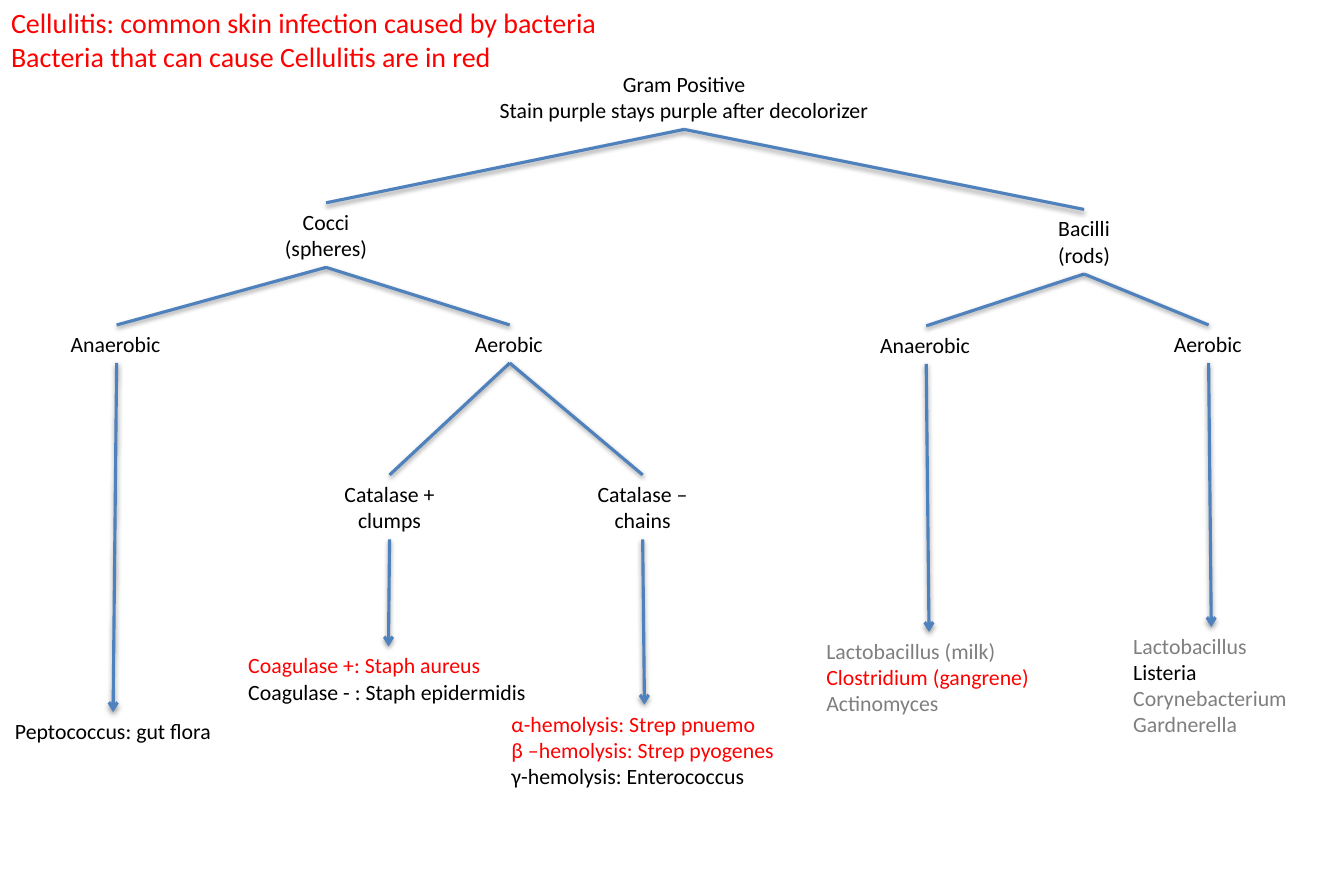
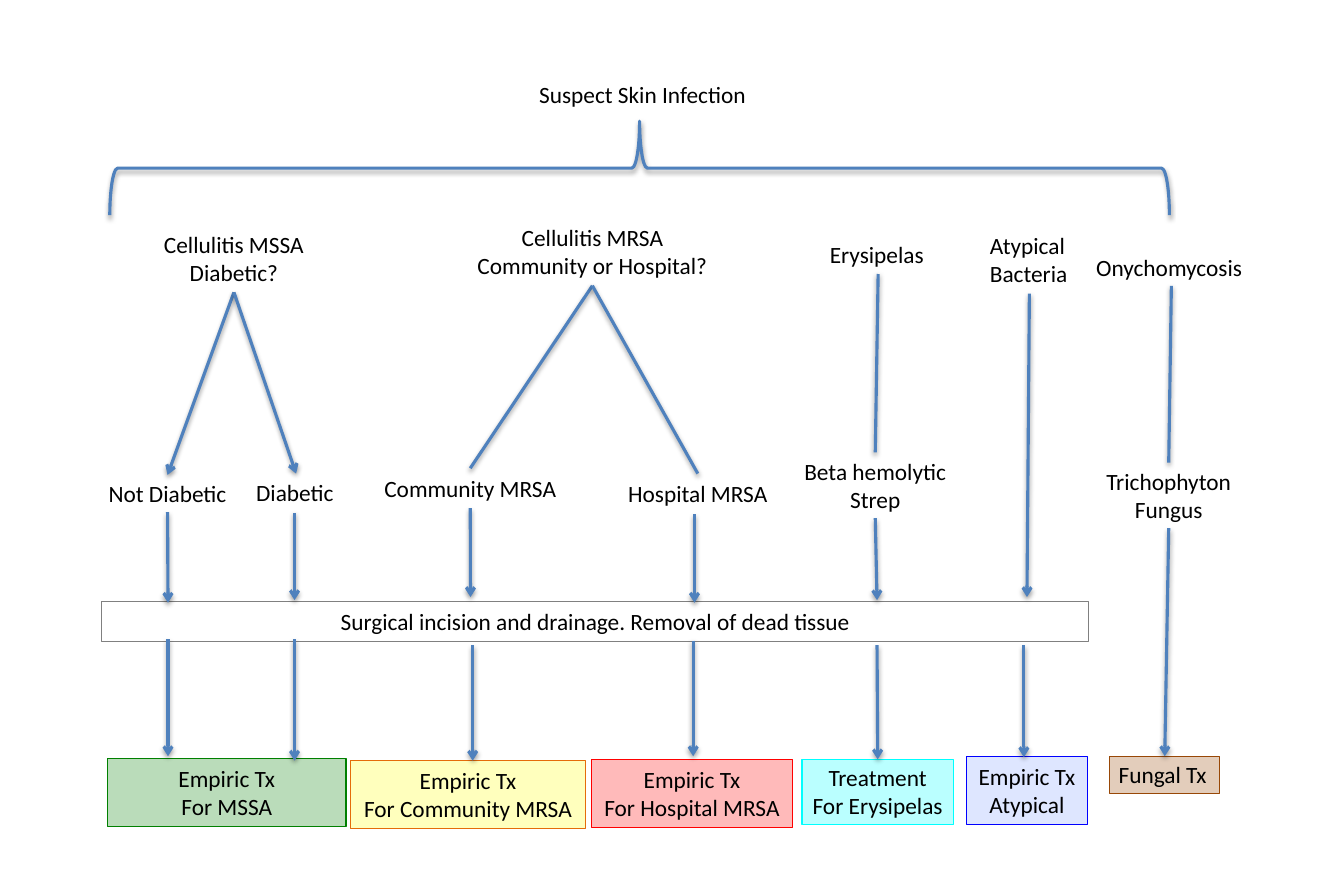
from lxml.etree import SubElement
from pptx import Presentation
from pptx.dml.color import RGBColor
from pptx.enum.shapes import MSO_CONNECTOR, MSO_SHAPE
from pptx.enum.text import MSO_ANCHOR, MSO_AUTO_SIZE, PP_ALIGN
from pptx.oxml.ns import qn
from pptx.util import Cm, Pt

COLORS = {
    "ink": "000000", "red": "FF0000", "grey": "7F7F7F", "link": "4F81BD",
    "frame": "808080", "green": "008000", "yellow": "FFFF00",
    "orange": "E46C0A", "azure": "3366FF", "blue": "0000FF",
    "cyan": "00FFFF", "brown": "984807",
}
FONT = "Calibri"
LEFT, MID = PP_ALIGN.LEFT, PP_ALIGN.CENTER
WIDE, SLIM = (0.25, 0.13), (0.2, 0.1)
TOP, BOTTOM = 0, 2
HUES = {
    "Lactobacillus (milk)": "grey", "Clostridium (gangrene)": "red",
    "Actinomyces": "grey", "Lactobacillus": "grey",
    "Corynebacterium": "grey", "Gardnerella": "grey",
    "Coagulase +: Staph aureus": "red",
    "α-hemolysis: Strep pnuemo": "red",
    "β –hemolysis: Strep pyogenes": "red",
    "Cellulitis: common skin infection caused by bacteria": "red",
    "Bacteria that can cause Cellulitis are in red": "red",
}


def write(box, place, text, size, align=MID, pad=WIDE, wrap=False):
    """Place a box, its height following from the lines, and fill it."""
    rows = text.split("|")
    x, y, width = place
    box.left, box.top, box.width = Cm(x), Cm(y), Cm(width)
    box.height = Cm(2 * pad[1] + len(rows) * size * 0.043)
    frame = box.text_frame
    frame.word_wrap = wrap
    frame.auto_size = MSO_AUTO_SIZE.SHAPE_TO_FIT_TEXT
    frame.vertical_anchor = MSO_ANCHOR.TOP
    frame.margin_left = frame.margin_right = Cm(pad[0])
    frame.margin_top = frame.margin_bottom = Cm(pad[1])
    for i, row in enumerate(rows):
        para = frame.add_paragraph() if i else frame.paragraphs[0]
        para.alignment = align
        run = para.add_run()
        run.text = row
        run.font.size = Pt(size)
        run.font.name = FONT
        run.font.color.rgb = RGBColor.from_string(COLORS[HUES.get(row, "ink")])


def stroke(shape, arrow=False):
    """Give a line its colour, soft shadow and, if wanted, arrowhead."""
    shape.line.color.rgb = RGBColor.from_string(COLORS["link"])
    shape.line.width = Pt(2)
    props = shape._element.spPr
    if arrow:
        SubElement(props.find(qn("a:ln")), qn("a:tailEnd"), type="arrow")
    effect = SubElement(props, qn("a:effectLst"))
    shade = SubElement(effect, qn("a:outerShdw"), blurRad="40000",
                       dist="20000", dir="5400000", rotWithShape="0")
    tone = SubElement(shade, qn("a:srgbClr"), val=COLORS["ink"])
    SubElement(tone, qn("a:alpha"), val="38000")


# Boxes: name, (left, top, width), text, alignment, padding
stain = [
    ("gram", (11.02, 1.47, 8.99),
     "Gram Positive|Stain purple stays purple after decolorizer", MID, WIDE),
    ("cocci", (6.2, 4.6, 2.39), "Cocci|(spheres)", MID, WIDE),
    ("rods", (23.72, 4.75, 1.73), "Bacilli|(rods)", MID, WIDE),
    ("cocci air", (10.52, 7.37, 2.08), "Aerobic", LEFT, WIDE),
    ("cocci no air", (1.35, 7.37, 2.59), "Anaerobic", LEFT, WIDE),
    ("rods no air", (19.71, 7.39, 2.59), "Anaerobic", LEFT, WIDE),
    ("rods air", (26.37, 7.37, 2.08), "Aerobic", LEFT, WIDE),
    ("gut", (0.05, 16.15, 5.03), "Peptococcus: gut flora", MID, WIDE),
    ("milk", (18.49, 14.33, 5.16),
     "Lactobacillus (milk)|Clostridium (gangrene)|Actinomyces", LEFT, WIDE),
    ("listeria", (25.45, 14.22, 4.04),
     "Lactobacillus|Listeria|Corynebacterium|Gardnerella", LEFT, WIDE),
    ("clumps", (7.54, 10.77, 2.59), "Catalase +|clumps", MID, WIDE),
    ("chains", (13.28, 10.77, 2.59), "Catalase –|chains", MID, WIDE),
    ("staph", (5.38, 14.66, 6.86),
     "Coagulase +: Staph aureus|Coagulase - : Staph epidermidis", LEFT, WIDE),
    ("strep", (11.35, 15.98, 6.53),
     "α-hemolysis: Strep pnuemo|β –hemolysis: Strep pyogenes|"
     "γ-hemolysis: Enterococcus", LEFT, WIDE),
]
# Links: from, to, arrow; an end is a box name or a point
stain_links = [
    ("gram", "cocci", False), ("gram", "rods", False),
    ("cocci", "cocci no air", False), ("cocci", "cocci air", False),
    ("rods", "rods no air", False), ("rods", "rods air", False),
    ("cocci air", "clumps", False), ("cocci air", "chains", False),
    ("cocci no air", "gut", True), ("rods no air", "milk", True),
    ("rods air", "listeria", True), ("clumps", "staph", True),
    ("chains", "strep", True),
]
care = [
    ("mssa", (3.45, 5.08, 3.71), "Cellulitis MSSA|Diabetic?", MID, WIDE),
    ("mrsa", (10.54, 4.93, 5.79),
     "Cellulitis MRSA|Community or Hospital?", MID, WIDE),
    ("ward", (13.97, 10.74, 3.71), "Hospital MRSA", MID, WIDE),
    ("town", (8.43, 10.62, 4.47), "Community MRSA", MID, WIDE),
    ("drain", (2.31, 13.64, 22.38),
     "Surgical incision and drainage. Removal of dead tissue", MID, WIDE),
    ("mssa tx", (2.44, 17.2, 5.41), "Empiric Tx|For MSSA", MID, WIDE),
    ("town tx", (7.95, 17.25, 5.33),
     "Empiric Tx|For Community MRSA", MID, WIDE),
    ("ward tx", (13.41, 17.22, 4.57),
     "Empiric Tx|For Hospital MRSA", MID, WIDE),
    ("odd", (22.2, 5.11, 2.29), "Atypical|Bacteria", LEFT, WIDE),
    ("odd tx", (21.92, 17.15, 2.74), "Empiric Tx|Atypical", MID, WIDE),
    ("rash", (18.57, 5.31, 2.69), "Erysipelas", LEFT, WIDE),
    ("plain", (2.24, 10.77, 3.12), "Not Diabetic", MID, SLIM),
    ("sugar", (5.61, 10.74, 2.21), "Diabetic", LEFT, SLIM),
    ("beta", (18.01, 10.26, 3.68), "Beta hemolytic|Strep", MID, SLIM),
    ("rash tx", (18.19, 17.22, 3.43), "Treatment|For Erysipelas", MID, SLIM),
    ("nail", (24.66, 5.64, 3.81), "Onychomycosis", LEFT, SLIM),
    ("fungus", (24.84, 10.49, 3.33), "Trichophyton|Fungus", MID, SLIM),
    ("nail tx", (25.17, 17.15, 2.49), "Fungal Tx", LEFT, SLIM),
]
care_links = [
    ("mrsa", "town", False), ("mrsa", "ward", False),
    ("mssa", "plain", True), ("mssa", "sugar", True),
    ("rash", "beta", False), ("nail", "fungus", False),
    ("fungus", "nail tx", True),
    ("plain", (3.81, 13.67), True), ((3.81, 14.5), (3.81, 17.15), True),
    ((6.68, 11.63), (6.68, 13.61), True), ((6.68, 14.5), (6.68, 17.25), True),
    ("town", (10.67, 13.54), True), ((10.72, 14.63), (10.72, 17.25), True),
    ((15.75, 11.66), (15.75, 13.67), True),
    ((15.72, 14.53), (15.72, 17.15), True),
    ("beta", (19.89, 13.61), True), ((19.89, 14.63), "rash tx", True),
    ("odd", (23.29, 13.54), True), ((23.22, 14.63), (23.22, 17.17), True),
]
# Framed boxes: fill, opacity in percent, outline
FRAMES = {
    "drain": (None, 0, "frame"),
    "mssa tx": ("green", 27, "green"),
    "town tx": ("yellow", 26, "orange"),
    "ward tx": ("red", 27, "red"),
    "odd tx": ("azure", 16, "blue"),
    "rash tx": ("cyan", 27, "cyan"),
    "nail tx": ("brown", 27, "brown"),
}
HEAD = ("Cellulitis: common skin infection caused by bacteria|"
        "Bacteria that can cause Cellulitis are in red")
SLIDES = [
    ((HEAD, (0, 0, 22.25), 18, LEFT, True), 14, stain, stain_links),
    (("Suspect Skin Infection", (11.94, 1.68, 5.26), 15, MID, False),
     15, care, care_links),
]

deck = Presentation()
deck.slide_width, deck.slide_height = Cm(30.48), Cm(20.32)

for (head, spot, big, side, wrap), size, boxes, links in SLIDES:
    slide = deck.slides.add_slide(deck.slide_layouts[5])
    write(slide.shapes.title, spot, head, big, side, wrap=wrap)

    nodes = {}
    for name, place, text, align, pad in boxes:
        box = slide.shapes.add_textbox(0, 0, 0, 0)
        write(box, place, text, size, align, pad, wrap=name == "drain")
        nodes[name] = box
        if name in FRAMES:
            fill, alpha, edge = FRAMES[name]
            if fill:
                box.fill.solid()
                box.fill.fore_color.rgb = RGBColor.from_string(COLORS[fill])
                tone = box._element.spPr.find(qn("a:solidFill"))[0]
                SubElement(tone, qn("a:alpha"), val=str(alpha * 1000))
            box.line.color.rgb = RGBColor.from_string(COLORS[edge])
            box.line.width = Pt(0.75)

    for start, end, arrow in links:
        x1, y1 = (0, 0) if start in nodes else start
        x2, y2 = (0, 0) if end in nodes else end
        link = slide.shapes.add_connector(
            MSO_CONNECTOR.STRAIGHT, Cm(x1), Cm(y1), Cm(x2), Cm(y2))
        if start in nodes:
            link.begin_connect(nodes[start], BOTTOM)
        if end in nodes:
            link.end_connect(nodes[end], TOP)
        stroke(link, arrow)

brace = slide.shapes.add_shape(
    MSO_SHAPE.LEFT_BRACE, Cm(13.44), Cm(-8.2), Cm(2.13), Cm(24.03))
brace.rotation = 90
brace.fill.background()
stroke(brace)

deck.save("out.pptx")
